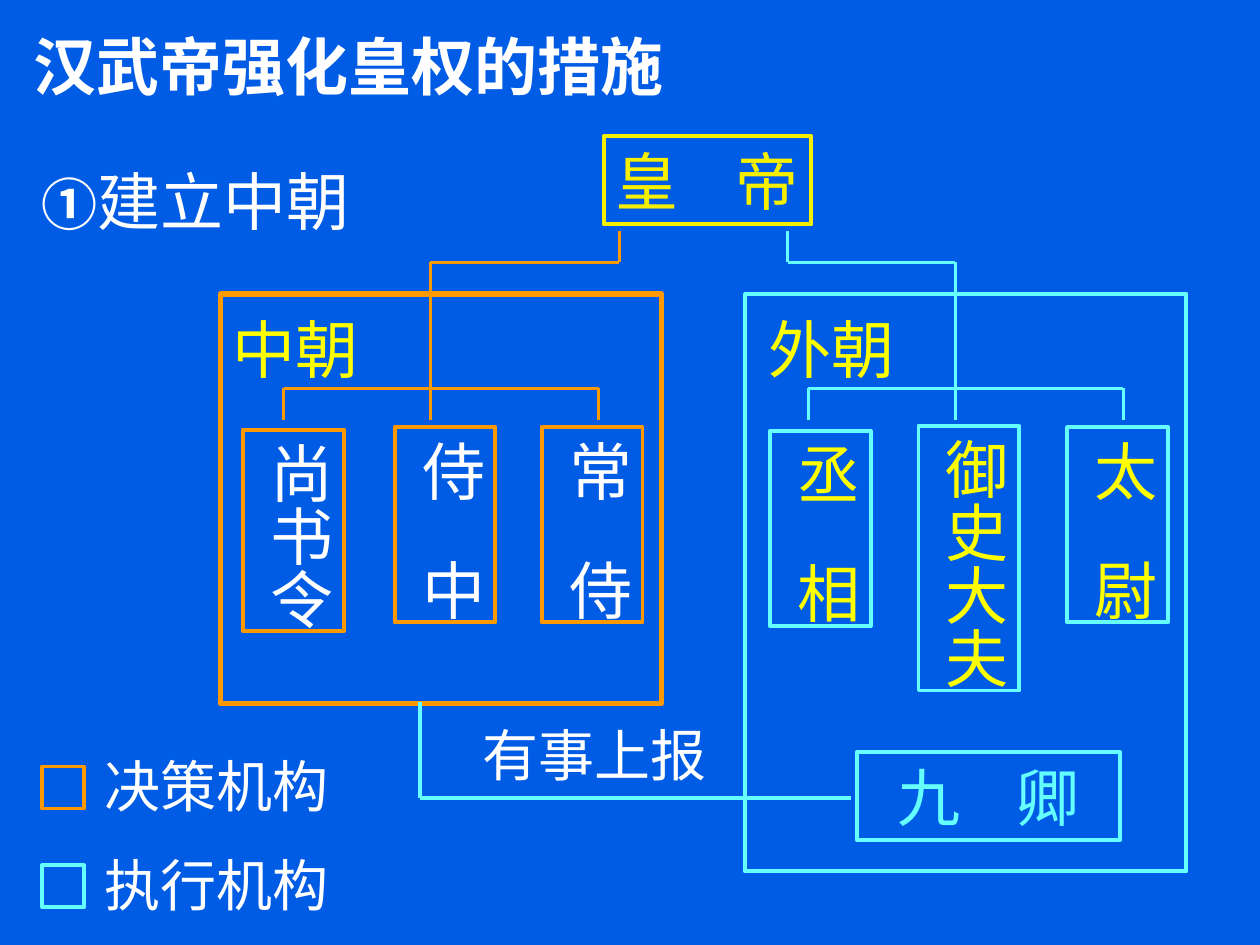
from typing import NamedTuple

from lxml.etree import SubElement
from pptx import Presentation
from pptx.dml.color import RGBColor
from pptx.enum.shapes import MSO_CONNECTOR as Connector, MSO_SHAPE as Shape
from pptx.enum.text import MSO_ANCHOR as Anchor, MSO_AUTO_SIZE as AutoSize, PP_ALIGN as Align
from pptx.oxml.ns import qn
from pptx.util import Pt

COLORS = {
    "background": "005CE4",
    "white": "FFFFFF",
    "yellow": "FFFF00",
    "gold": "F6F000",
    "orange": "FF9900",
    "cyan": "66FFFF",
}
FONT = "Times New Roman"
LINE_WIDTH = 2.25
GAP_SPACING = "1200"  # hundredths of a point, widens the gap in two-character titles


class Box(NamedTuple):
    left: float
    top: float
    width: float
    height: float


class Label(NamedTuple):
    text: str
    box: Box
    color: str = "white"
    size: float = 36
    bold: bool = False
    outline: str | None = None
    vertical: bool = False
    indent: float = 0
    wrap: bool = False


class Court(NamedTuple):
    color: str
    emperor_x: float
    trunk_x: float
    bar_left: float
    bar_right: float


def rgb(name: str) -> RGBColor:
    return RGBColor.from_string(COLORS[name])


def draw_frame(slide, box: Box, color: str, width: float = LINE_WIDTH):
    shape = slide.shapes.add_shape(Shape.RECTANGLE, *map(Pt, box))
    shape.shadow.inherit = False
    shape.fill.background()
    shape.line.color.rgb = rgb(color)
    shape.line.width = Pt(width)
    return shape


def draw_label(slide, label: Label):
    if label.outline:
        shape = draw_frame(slide, label.box, label.outline)
    else:
        shape = slide.shapes.add_textbox(*map(Pt, label.box))
    frame = shape.text_frame
    frame.word_wrap = label.wrap
    frame.auto_size = AutoSize.SHAPE_TO_FIT_TEXT
    frame.vertical_anchor = Anchor.TOP
    side, end = (3.6, 7.2) if label.vertical else (7.2, 3.6)
    frame.margin_left, frame.margin_right = Pt(side + label.indent), Pt(side)
    frame.margin_top = frame.margin_bottom = Pt(end)
    if label.vertical:
        shape.element.txBody.find(qn("a:bodyPr")).set("vert", "eaVert")

    paragraph = frame.paragraphs[0]
    paragraph.alignment = Align.LEFT
    font = paragraph.font
    font.name, font.size, font.bold = FONT, Pt(label.size), label.bold
    font.color.rgb = rgb(label.color)
    first, space, last = label.text.partition(" ")
    run = paragraph.add_run()
    run.text = first + space
    if space:
        run.font._element.set("spc", GAP_SPACING)
        paragraph.add_run().text = last
    return paragraph


def draw_line(slide, color: str, x1: float, y1: float, x2: float, y2: float) -> None:
    line = slide.shapes.add_connector(Connector.STRAIGHT, Pt(x1), Pt(y1), Pt(x2), Pt(y2))
    line.line.color.rgb = rgb(color)
    line.line.width = Pt(LINE_WIDTH)
    SubElement(line.element.spPr, qn("a:effectLst"))


def draw_branches(slide, court: Court) -> None:
    """Link the emperor to the three offices of one court."""
    color, emperor_x, trunk_x, left, right = court
    start, bend, bar, end = 132, 150, 222, 240
    draw_line(slide, color, emperor_x, start, emperor_x, bend)
    draw_line(slide, color, emperor_x, bend, trunk_x, bend)
    draw_line(slide, color, trunk_x, bend, trunk_x, bar)
    draw_line(slide, color, left, bar, right, bar)
    for x in (left, trunk_x, right):
        draw_line(slide, color, x, bar, x, end)


def office(text: str, left: float, top: float, height: float, color: str, outline: str) -> Label:
    return Label(text, Box(left, top, 57.6, height), color, outline=outline, vertical=True)


TITLE = Label("汉武帝强化皇权的措施", Box(12, 12, 444, 50.4), bold=True, wrap=True)
SUBTITLE = Label("建立中朝", Box(16.5, 89.3, 247, 50.4), wrap=True)
BOXED_LABELS = [
    Label("皇 帝", Box(344.9, 77.8, 118.8, 50.4), "gold", outline="gold"),
    office("尚书令", 139, 245.5, 115.2, "white", "orange"),
    office("侍 中", 225.5, 244, 111.6, "white", "orange"),
    office("常 侍", 309.6, 244, 111.6, "white", "orange"),
    office("丞 相", 439.9, 246.2, 111.6, "yellow", "cyan"),
    office("御史大夫", 524.9, 243.4, 151.2, "yellow", "cyan"),
    office("太 尉", 609.8, 244, 111.6, "yellow", "cyan"),
    Label("九 卿", Box(489.6, 429.8, 150.5, 50.4), "cyan", outline="cyan", indent=16),
]
PLAIN_LABELS = [
    Label("中朝", Box(126, 174, 86.4, 50.4), "yellow"),
    Label("外朝", Box(432, 174, 86.4, 50.4), "yellow"),
    Label("有事上报", Box(268.5, 408, 142.5, 46), size=32),
]
COURTS = [
    Court("orange", 354, 246, 162, 342),
    Court("cyan", 450, 546, 462, 642),
]
LEGEND = [("决策机构", "orange", 438), ("执行机构", "cyan", 494.5)]


def main() -> None:
    presentation = Presentation()
    presentation.slide_width, presentation.slide_height = Pt(720), Pt(540)
    slide = presentation.slides.add_slide(presentation.slide_layouts[6])
    slide.background.fill.solid()
    slide.background.fill.fore_color.rgb = rgb("background")

    # Headings
    draw_label(slide, TITLE)
    subtitle = draw_label(slide, SUBTITLE)
    name = subtitle.runs[0]
    name.text = "①"
    name.font.size, name.font.bold = Pt(32), True
    subtitle.add_run().text = SUBTITLE.text

    # Emperor, offices and the two courts
    for label in BOXED_LABELS:
        draw_label(slide, label)
    draw_frame(slide, Box(126, 168, 252, 234), "orange", 3)
    draw_frame(slide, Box(426, 168, 252, 330), "cyan")

    # Reporting line and branches
    draw_line(slide, "cyan", 486, 456, 240, 456)
    draw_line(slide, "cyan", 240, 401, 240, 456)
    for court in COURTS:
        draw_branches(slide, court)
    for label in PLAIN_LABELS:
        draw_label(slide, label)

    # Legend
    for text, color, top in LEGEND:
        draw_frame(slide, Box(24, top, 24, 24), color)
        draw_label(slide, Label(text, Box(52.5, top - 12, 142.5, 46), size=32))

    presentation.save("out.pptx")


if __name__ == "__main__":
    main()
